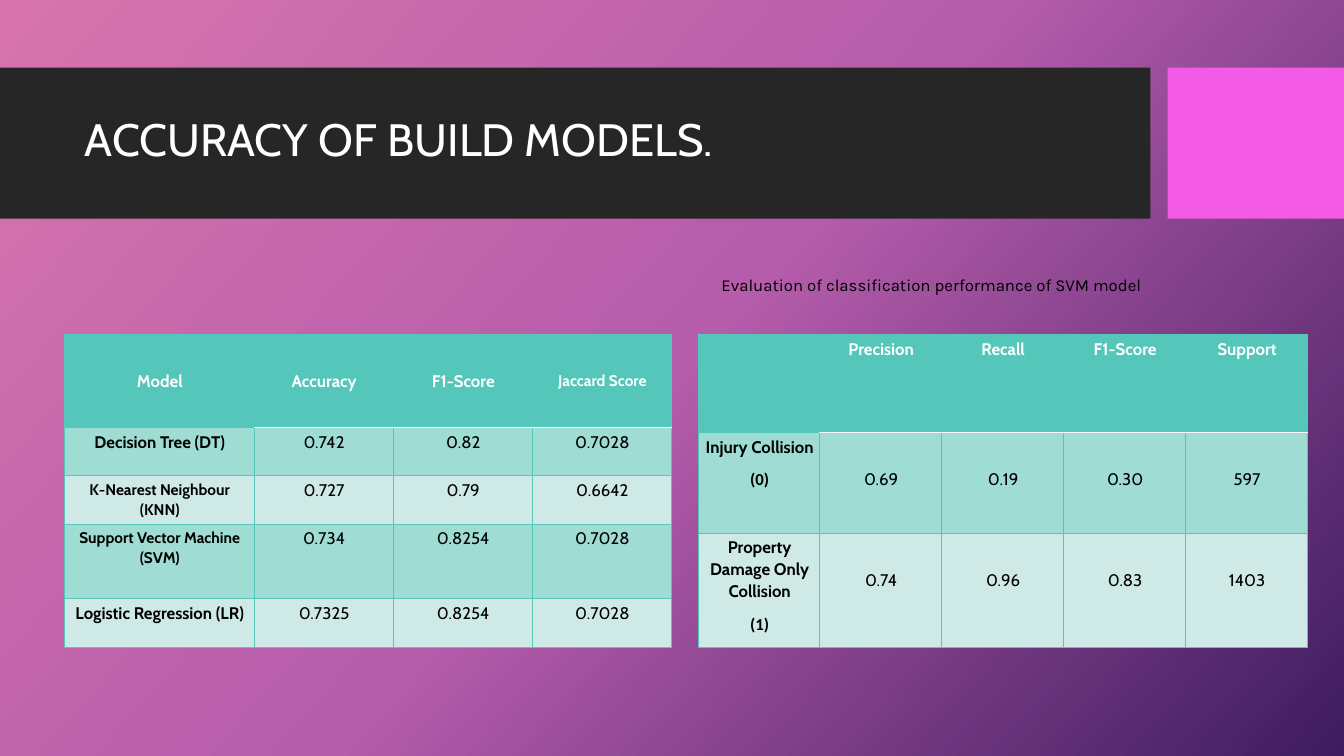
from copy import deepcopy

from lxml import etree
from pptx import Presentation
from pptx.dml.color import RGBColor
from pptx.enum import shapes, text
from pptx.oxml import ns
from pptx.util import Inches, Pt

TEAL, BAND, PALE = "55C6BA", "9EDCD4", "CFEAE6"
WHITE, BLACK = "FFFFFF", "000000"


def paint(target, colour):
    """Give a fill or a line fill one solid colour."""
    target.solid()
    target.fore_color.rgb = RGBColor.from_string(colour)


def style_span(span, size, colour, font="Cabin", bold=False):
    span.font.name = font
    span.font.size = Pt(size)
    span.font.bold = bold
    paint(span.font.fill, colour)


deck = Presentation()
deck.slide_width, deck.slide_height = Inches(13.33), Inches(7.5)
page = deck.slides.add_slide(deck.slide_layouts[6])

# Background gradient with three stops
backdrop = page.background.fill
backdrop.gradient()
backdrop.gradient_angle = 318
stop_list = page._element.find(".//" + ns.qn("a:gsLst"))
stop_list.insert(1, deepcopy(stop_list[0]))
for stop, position, colour in zip(backdrop.gradient_stops, (0, 0.5, 1),
                                  ("D774AD", "B55CAB", "3E1C5F")):
    stop.position = position
    stop.color.rgb = RGBColor.from_string(colour)

# Title band and accent block
for left, width, colour in ((0, 11.41, "262626"), (11.58, 1.75, "F35AE6")):
    band = page.shapes.add_shape(shapes.MSO_SHAPE.RECTANGLE, Inches(left),
                                 Inches(0.67), Inches(width), Inches(1.5))
    band.shadow.inherit = False
    paint(band.fill, colour)
    band.line.fill.background()

# Title and table caption
captions = (
    ("ACCURACY OF BUILD MODELS.", (0.74, 0.82, 10.51, 1.18),
     32.4, WHITE, "Cabin", text.PP_ALIGN.LEFT, 0.9),
    ("Evaluation of classification performance of SVM model",
     (6.95, 2.68, 4.58, 0.3), 12, BLACK, "Karla", text.PP_ALIGN.CENTER, 1.0),
)
for wording, place, size, colour, font, align, spacing in captions:
    box = page.shapes.add_textbox(*map(Inches, place))
    box.text_frame.word_wrap = True
    box.text_frame.vertical_anchor = text.MSO_ANCHOR.MIDDLE
    box.text_frame.text = wording
    para = box.text_frame.paragraphs[0]
    para.alignment, para.line_spacing = align, spacing
    style_span(para.runs[0], size, colour, font)

# Tables: left edge, column widths, row heights, top insets of header and values
model_rows = (
    ("Model", "Accuracy", "F1-Score", "Jaccard Score"),
    ("Decision Tree (DT)", "0.742", "0.82", "0.7028"),
    ("K-Nearest Neighbour (KNN)", "0.727", "0.79", "0.6642"),
    ("Support Vector Machine (SVM)", "0.734", "0.8254", "0.7028"),
    ("Logistic Regression (LR)", "0.7325", "0.8254", "0.7028"),
)
svm_rows = (
    ("", "Precision", "Recall", "F1-Score", "Support"),
    ("Injury Collision\n(0)", "0.69", "0.19", "0.30", "597"),
    ("Property Damage Only Collision\n(1)", "0.74", "0.96", "0.83", "1403"),
)
smaller_labels = ("Jaccard Score", "K-Nearest Neighbour (KNN)",
                  "Support Vector Machine (SVM)")
tables = (
    (0.64, (1.88, 1.38, 1.38, 1.38), (0.92, 0.48, 0.48, 0.74, 0.48),
     0.35, 0.03, model_rows),
    (6.93, (1.2, 1.21, 1.21, 1.21, 1.21), (0.97, 1, 1.13),
     0.03, 0.35, svm_rows),
)
for left, widths, heights, header_inset, value_inset, rows in tables:
    table = page.shapes.add_table(
        len(rows), len(widths), Inches(left), Inches(3.32),
        Inches(sum(widths)), Inches(sum(heights))).table
    for column, width in zip(table.columns, widths):
        column.width = Inches(width)
    for r, (height, values) in enumerate(zip(heights, rows)):
        table.rows[r].height = Inches(height)
        for c, value in enumerate(values):
            cell = table.cell(r, c)
            header, label = r == 0, c == 0
            cell.margin_left, cell.margin_right = Inches(0.07), Inches(0.06)
            cell.margin_bottom = 0
            cell.margin_top = Inches(header_inset if header else
                                     0.03 if label else value_inset)

            # Borders: white between header and values, teal elsewhere
            white_edge = {0: "lnB", 1: "lnT"}.get(r) if not label else None
            for edge in ("lnL", "lnR", "lnT", "lnB"):
                white = edge == white_edge
                line = etree.SubElement(cell._tc.get_or_add_tcPr(),
                                        ns.qn("a:" + edge),
                                        w=str(Pt(1 if white else 0.75)))
                solid = etree.SubElement(line, ns.qn("a:solidFill"))
                etree.SubElement(solid, ns.qn("a:srgbClr"),
                                 val=WHITE if white else TEAL)
            paint(cell.fill, TEAL if header else BAND if r % 2 else PALE)

            # Cell text
            cell.text_frame.text = value
            for para in cell.text_frame.paragraphs:
                para.alignment = text.PP_ALIGN.CENTER
                para.line_spacing, para.space_after = 1.07, Pt(7.6)
                for span in para.runs:
                    style_span(span, 11 if value in smaller_labels else 12,
                               WHITE if header else BLACK,
                               "Calibri" if span.text in ("(0)", "(1)") else "Cabin",
                               header or label)

deck.save("out.pptx")
